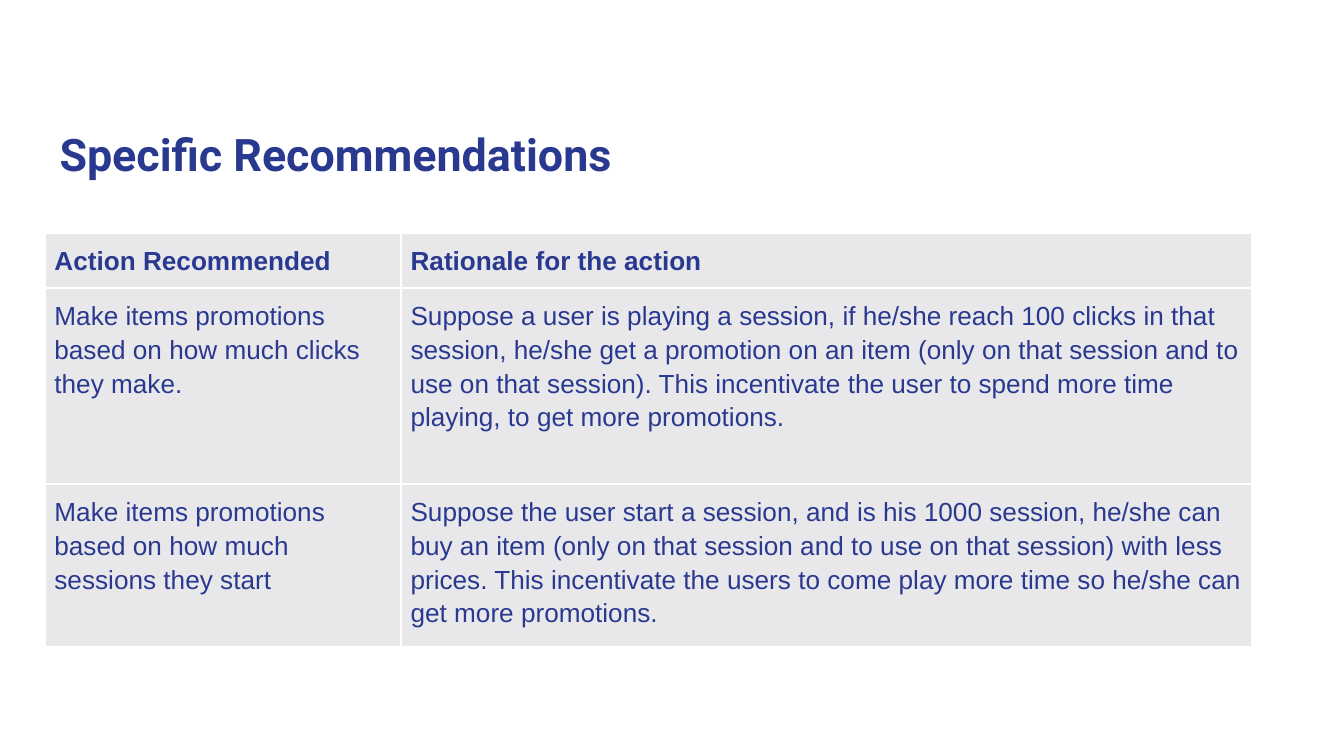
from dataclasses import dataclass

import pptx
import pptx.dml.color
import pptx.enum.text
import pptx.oxml
import pptx.oxml.ns
import pptx.util

EMU_PER_PX = 4572


@dataclass(frozen=True)
class Theme:
    ink: str = "2A3990"
    cell: str = "E8E8EB"
    border: str = "FFFFFF"
    title_font: str = "Roboto"
    body_font: str = "Arial"
    title_size: int = 24
    body_size: int = 14
    border_width: int = 1
    line_spacing: float = 1.15


THEME = Theme()

TABLE_HEIGHT = 616
COLUMN_WIDTHS = (530, 1266)
ROW_HEIGHTS = (0, 292, 0)
RECOMMENDATIONS = (
    ("Action Recommended", "Rationale for the action"),
    (
        "Make items promotions based on how much clicks they make.",
        "Suppose a user is playing a session, if he/she reach 100 clicks in that "
        "session, he/she get a promotion on an item (only on that session and to "
        "use on that session). This incentivate the user to spend more time "
        "playing, to get more promotions.",
    ),
    (
        "Make items promotions based on how much sessions they start",
        "Suppose the user start a session, and is his 1000 session, he/she can "
        "buy an item (only on that session and to use on that session) with less "
        "prices. This incentivate the users to come play more time so he/she can "
        "get more promotions.",
    ),
)


def px(length):
    return pptx.util.Emu(length * EMU_PER_PX)


def color(value):
    return pptx.dml.color.RGBColor.from_string(value)


def set_margins(container, margin):
    for side in ("left", "right", "top", "bottom"):
        setattr(container, f"margin_{side}", px(margin))


def add_run(paragraph, text, font, size, bold):
    run = paragraph.add_run()
    run.text = text
    run.font.name = font
    run.font.size = pptx.util.Pt(size)
    run.font.bold = bold
    run.font.color.rgb = color(THEME.ink)


def add_title(slide, text, left, top, width, height):
    shape = slide.shapes.add_textbox(px(left), px(top), px(width), px(height))
    frame = shape.text_frame
    frame.word_wrap = True
    frame.vertical_anchor = pptx.enum.text.MSO_ANCHOR.BOTTOM
    set_margins(frame, 20)
    add_run(frame.paragraphs[0], text, THEME.title_font, THEME.title_size, True)


def add_borders(cell):
    properties = cell._tc.get_or_add_tcPr()
    width = pptx.util.Pt(THEME.border_width)
    for side in ("lnL", "lnR", "lnT", "lnB"):
        properties.append(pptx.oxml.parse_xml(
            f'<a:{side} {pptx.oxml.ns.nsdecls("a")} w="{width}"><a:solidFill>'
            f'<a:srgbClr val="{THEME.border}"/></a:solidFill></a:{side}>'
        ))


def fill_cell(cell, text, bold):
    add_borders(cell)
    cell.fill.solid()
    cell.fill.fore_color.rgb = color(THEME.cell)
    set_margins(cell, 14)
    paragraph = cell.text_frame.paragraphs[0]
    paragraph.line_spacing = THEME.line_spacing
    add_run(paragraph, text, THEME.body_font, THEME.body_size, bold)


def add_recommendation_table(slide, left, top):
    shape = slide.shapes.add_table(
        len(ROW_HEIGHTS), len(COLUMN_WIDTHS), px(left), px(top),
        px(sum(COLUMN_WIDTHS)), px(TABLE_HEIGHT),
    )
    table = shape.table
    table.horz_banding = False
    for column, width in zip(table.columns, COLUMN_WIDTHS):
        column.width = px(width)
    for row, height in zip(table.rows, ROW_HEIGHTS):
        row.height = px(height)
    shape.height = px(TABLE_HEIGHT)
    for row_index, texts in enumerate(RECOMMENDATIONS):
        for column_index, text in enumerate(texts):
            fill_cell(table.cell(row_index, column_index), text, row_index == 0)


def main():
    presentation = pptx.Presentation()
    presentation.slide_width = px(2000)
    presentation.slide_height = px(1125)
    slide = presentation.slides.add_slide(presentation.slide_layouts[6])
    add_title(slide, "Specific Recommendations", 69, 122, 1680, 166)
    add_recommendation_table(slide, 67, 347)
    presentation.save("out.pptx")


if __name__ == "__main__":
    main()
